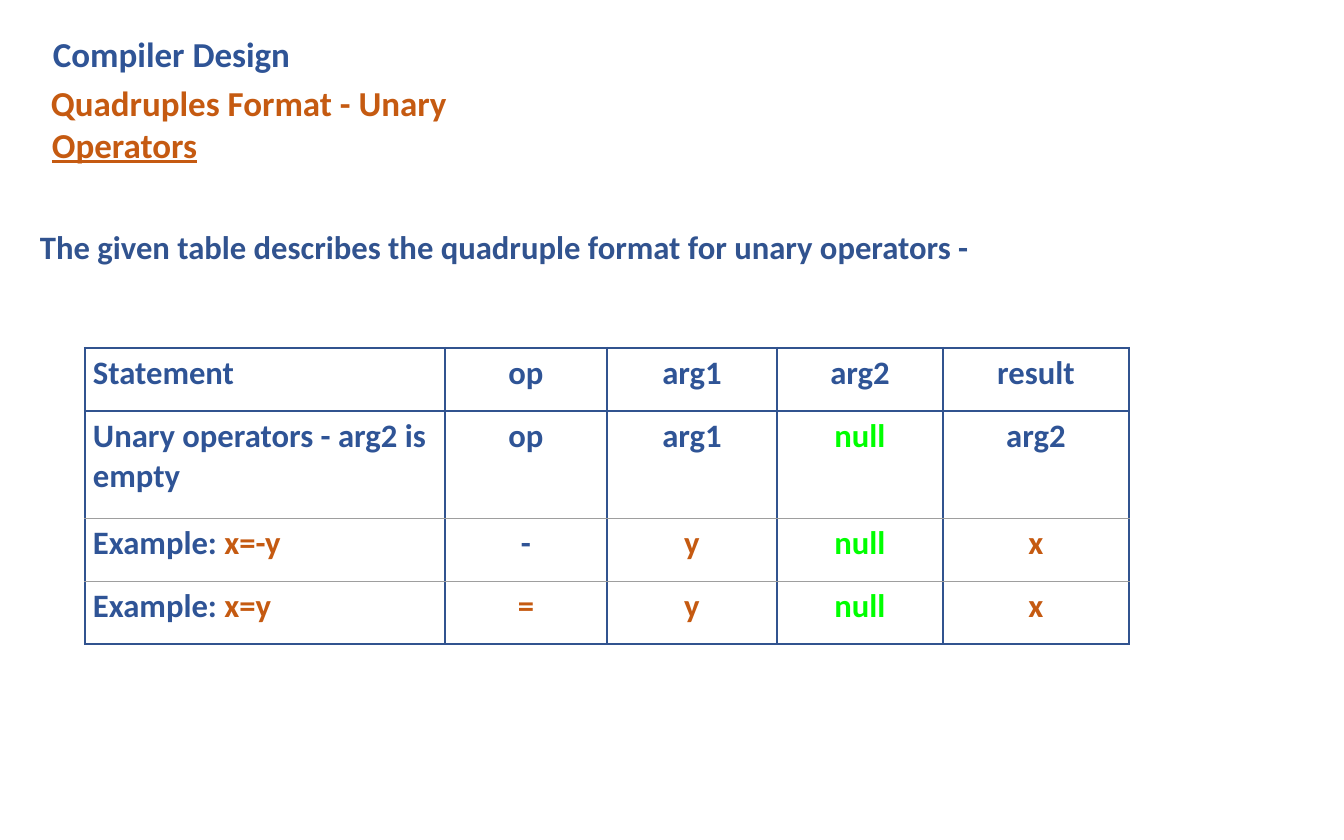
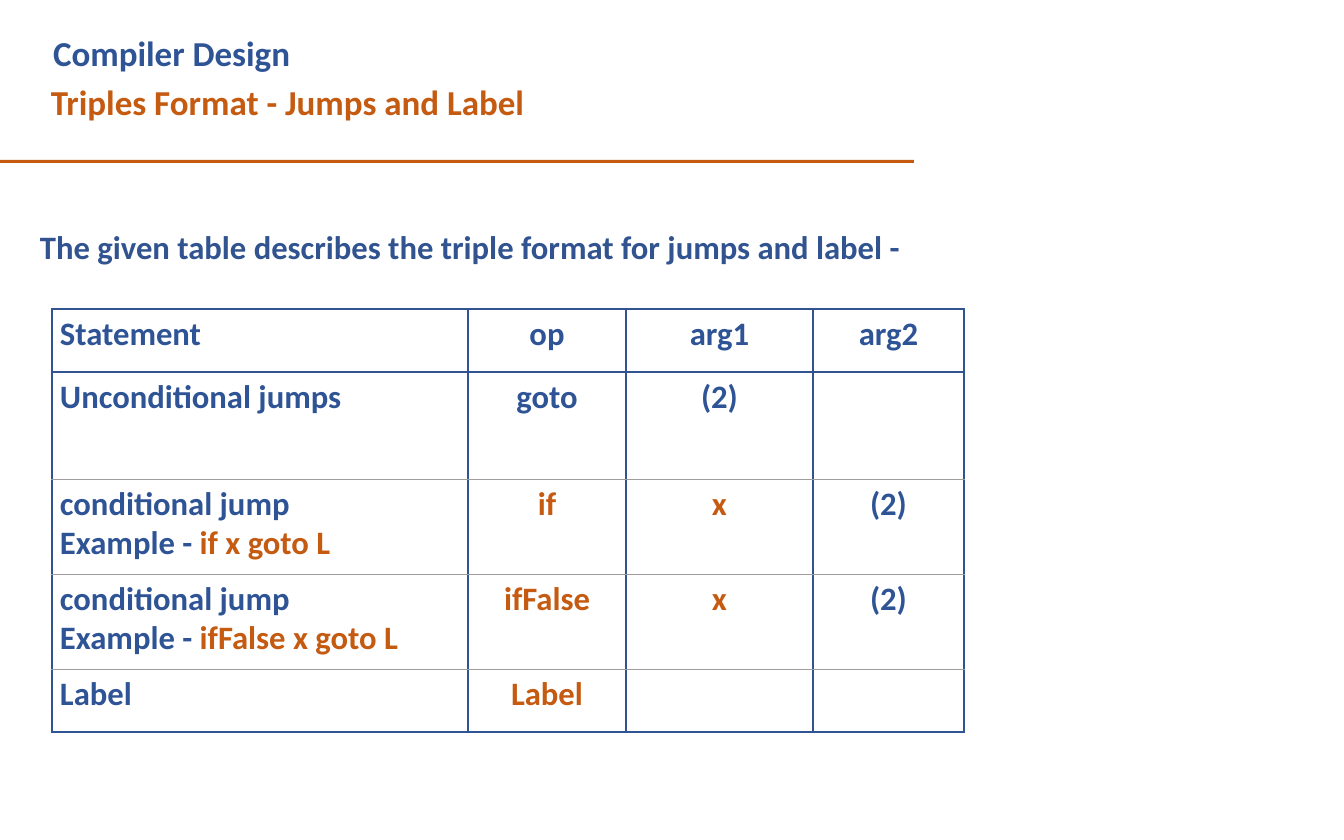
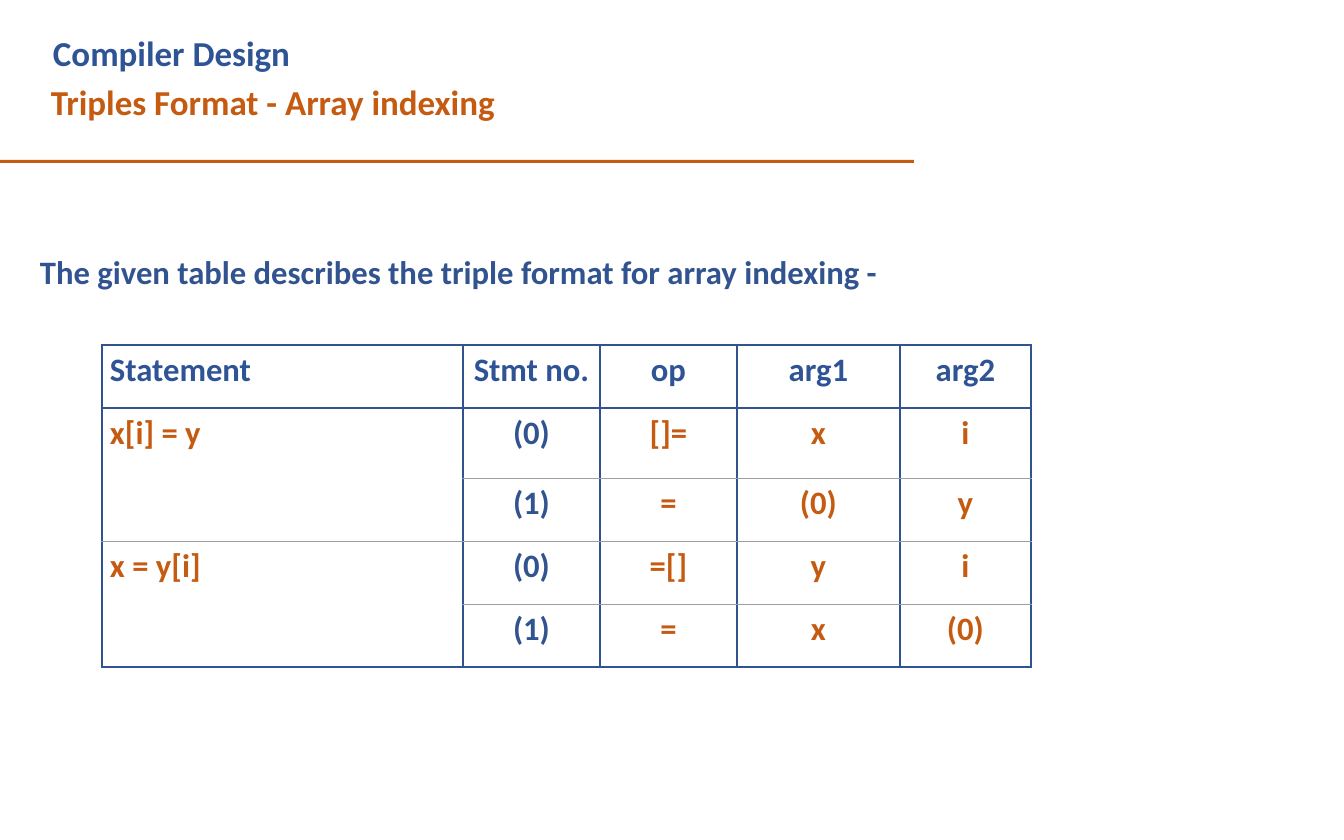
from lxml import etree
from pptx import Presentation
from pptx.dml.color import RGBColor
from pptx.enum import shapes, text
from pptx.oxml import ns
from pptx.util import Pt

PX = 914400 / 84
FONT = "Calibri"
TITLE_SIZE, BODY_SIZE = 30, 28
BLUE, LINE_BLUE, ORANGE = "2F5496", "31538F", "C55A11"
GREEN, GREY = "00FF00", "9E9E9E"
NO_STYLE = "{2D5ABB26-0587-4C30-8999-92F81FD0307C}"


def color(value):
    return RGBColor.from_string(value)


def write(paragraph, runs, size, left=0, indent=0):
    """Fill a paragraph with (text, colour) runs; a newline is a line break."""
    properties = paragraph._p.get_or_add_pPr()
    properties.set("marL", str(round(left * PX)))
    properties.set("indent", str(round(indent * PX)))
    for words, run_color in runs:
        for number, line in enumerate(words.split("\n")):
            if number:
                paragraph.add_line_break()
            if line:
                run = paragraph.add_run()
                run.text = line
                run.font.name = FONT
                run.font.size = Pt(size)
                run.font.bold = True
                run.font.color.rgb = color(run_color)


# Cells that recur in the tables
null = [("null", GREEN)]
x, y, i = [("x", ORANGE)], [("y", ORANGE)], [("i", ORANGE)]
equals, target = [("=", ORANGE)], [("(2)", BLUE)]
first, second = [("(0)", LINE_BLUE)], [("(1)", LINE_BLUE)]
first_result = [("(0)", ORANGE)]
header = {name: [(name, BLUE)] for name in
          ("Statement", "Stmt no.", "op", "arg1", "arg2", "result")}

# Title paragraphs: runs, left margin, first-line indent, space before, line spacing
course = ([("Compiler Design", BLUE)], 3, 0, 0, 1)

contents = [
    {
        "title_box": (-1, 24, 916, 142), "title_inset": 1, "rule": False,
        "title": [
            ([("Compiler Design\n", BLUE), ("Quadruples Format - Unary", ORANGE)],
             52, 2, 0, 1.17),
            ([("Operators", ORANGE)], 53, 0, 0, 1),
        ],
        "caption": "The given table describes the quadruple format for unary operators -",
        "caption_top": 226, "caption_width": 932,
        "table_at": (85, 348), "bottom": LINE_BLUE, "merged": [],
        "columns": [360, 162, 170, 166, 186], "rows": [63, 107, 63, 63],
        "cells": [
            [header[name] for name in ("Statement", "op", "arg1", "arg2", "result")],
            [[("Unary operators - arg2 is empty", BLUE)], header["op"],
             header["arg1"], null, header["arg2"]],
            [[("Example: ", BLUE), ("x=-y", ORANGE)], [("-", BLUE)], y, null, x],
            [[("Example: ", BLUE), ("x=y", ORANGE)], equals, y, null, x],
        ],
    },
    {
        "title_box": (50, 24, 475, 100), "title_inset": 8, "rule": True,
        "title": [course, ([("Triples Format - Jumps and Label", ORANGE)], 1, 0, 6, 1)],
        "caption": "The given table describes the triple format for jumps and label -",
        "caption_top": 226, "caption_width": 863,
        "table_at": (52, 309), "bottom": BLUE, "merged": [],
        "columns": [416, 158, 187, 151], "rows": [63, 107, 95, 95, 63],
        "cells": [
            [header[name] for name in ("Statement", "op", "arg1", "arg2")],
            [[("Unconditional jumps", BLUE)], [("goto", BLUE)], target, []],
            [[("conditional jump\nExample - ", BLUE), ("if x goto L", ORANGE)],
             [("if", ORANGE)], x, target],
            [[("conditional jump\nExample - ", BLUE), ("ifFalse x goto L", ORANGE)],
             [("ifFalse", ORANGE)], x, target],
            [[("Label", BLUE)], [("Label", ORANGE)], [], []],
        ],
    },
    {
        "title_box": (50, 24, 447, 100), "title_inset": 8, "rule": True,
        "title": [course, ([("Triples Format - Array indexing", ORANGE)], 1, 0, 6, 1)],
        "caption": "The given table describes the triple format for array indexing -",
        "caption_top": 251, "caption_width": 840,
        "table_at": (102, 345), "bottom": BLUE, "merged": [1, 3],
        "columns": [361, 137, 137, 163, 131], "rows": [63, 70, 63, 63, 63],
        "cells": [
            [header[name] for name in ("Statement", "Stmt no.", "op", "arg1", "arg2")],
            [[("x[i] = y", ORANGE)], first, [("[]=", ORANGE)], x, i],
            [[], second, equals, first_result, y],
            [[("x = y[i]", ORANGE)], first, [("=[]", ORANGE)], y, i],
            [[], second, equals, x, first_result],
        ],
    },
]

presentation = Presentation()
presentation.slide_width = round(1344 * PX)
presentation.slide_height = round(840 * PX)

for content in contents:
    slide = presentation.slides.add_slide(presentation.slide_layouts[6])

    # Title and caption
    caption = ([(content["caption"], LINE_BLUE)], 1, 0, 0, 1)
    caption_box = (39, content["caption_top"], content["caption_width"], 41)
    for box, inset, size, paragraphs in (
        (content["title_box"], content["title_inset"], TITLE_SIZE, content["title"]),
        (caption_box, 1, BODY_SIZE, [caption]),
    ):
        frame = slide.shapes.add_textbox(*(round(side * PX) for side in box)).text_frame
        frame.word_wrap = True
        frame.margin_left = frame.margin_right = frame.margin_bottom = 0
        frame.margin_top = round(inset * PX)
        for number, (runs, left, indent, before, spacing) in enumerate(paragraphs):
            paragraph = frame.add_paragraph() if number else frame.paragraphs[0]
            write(paragraph, runs, size, left, indent)
            paragraph.line_spacing = spacing
            if before:
                paragraph.space_before = Pt(before)
            if runs[0][0] == "Operators":
                paragraph.runs[0].font.underline = True

    # Rule under the title
    if content["rule"]:
        rule = slide.shapes.add_shape(
            shapes.MSO_SHAPE.RECTANGLE, 0, round(160 * PX), round(914 * PX), round(3 * PX))
        rule.shadow.inherit = False
        rule.fill.solid()
        rule.fill.fore_color.rgb = color(ORANGE)
        rule.line.fill.background()

    # Table grid
    columns, rows = content["columns"], content["rows"]
    left, top = content["table_at"]
    graphic = slide.shapes.add_table(
        len(rows), len(columns), round(left * PX), round(top * PX),
        round(sum(columns) * PX), round(sum(rows) * PX))
    table = graphic.table
    table.first_row = table.horz_banding = False
    table._tbl.tblPr.find(ns.qn("a:tableStyleId")).text = NO_STYLE
    for column, width in zip(table.columns, columns):
        column.width = round(width * PX)
    for row, height in zip(table.rows, rows):
        row.height = round(height * PX)
    for start in content["merged"]:
        table.cell(start, 0).merge(table.cell(start + 1, 0))

    # Horizontal lines: blue around the header and at the foot, grey between
    edges = [(LINE_BLUE, 2.25)] * 2 + [(GREY, 0.75)] * (len(rows) - 2)
    edges.append((content["bottom"], 2.25))
    side_edge = (LINE_BLUE, 2.25)

    # Cell text and borders
    for row_number, row_cells in enumerate(content["cells"]):
        for column_number, runs in enumerate(row_cells):
            cell = table.cell(row_number, column_number)
            if cell.is_spanned:
                continue
            cell.fill.background()
            cell.margin_left = cell.margin_right = cell.margin_bottom = 0
            cell.margin_top = round(5 * PX)
            paragraph = cell.text_frame.paragraphs[0]
            write(paragraph, runs, BODY_SIZE, 0 if column_number else 8)
            if column_number:
                paragraph.alignment = text.PP_ALIGN.CENTER
            end = row_number + (cell.span_height if cell.is_merge_origin else 1)
            borders = (("a:lnL", side_edge), ("a:lnR", side_edge),
                       ("a:lnT", edges[row_number]), ("a:lnB", edges[end]))
            properties = cell._tc.get_or_add_tcPr()
            for position, (tag, (line_color, width)) in enumerate(borders):
                line = etree.Element(ns.qn(tag), w=str(Pt(width)))
                fill = etree.SubElement(line, ns.qn("a:solidFill"))
                etree.SubElement(fill, ns.qn("a:srgbClr"), val=line_color)
                properties.insert(position, line)

presentation.save("out.pptx")
